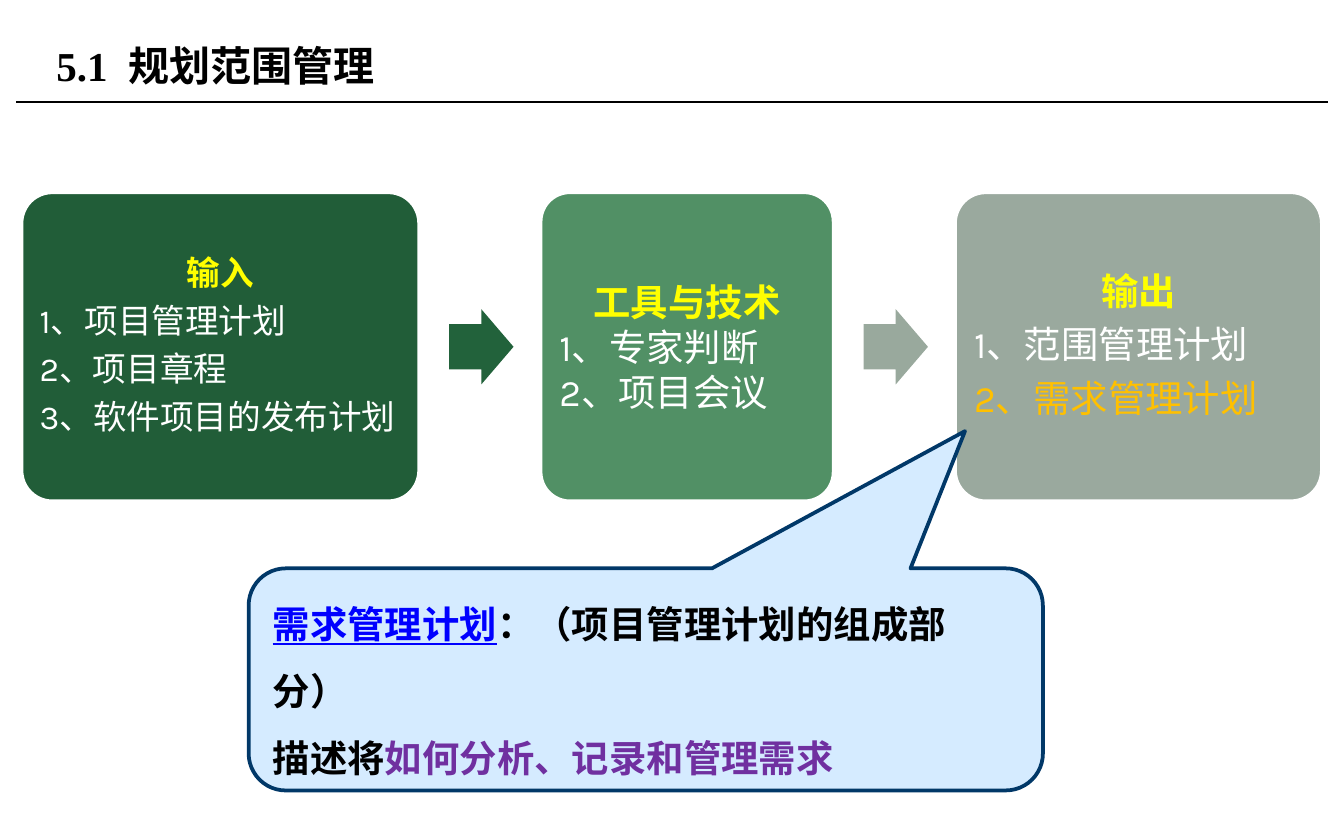
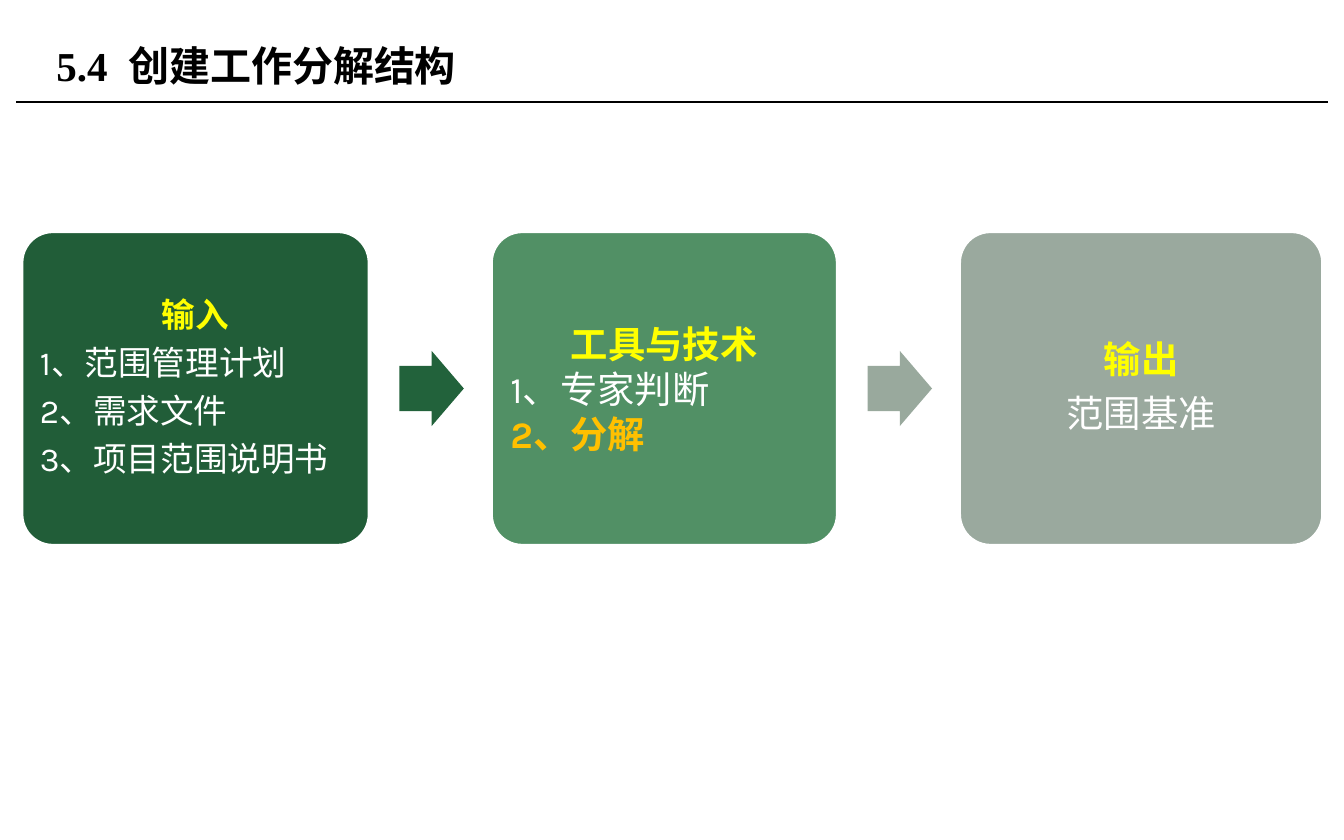
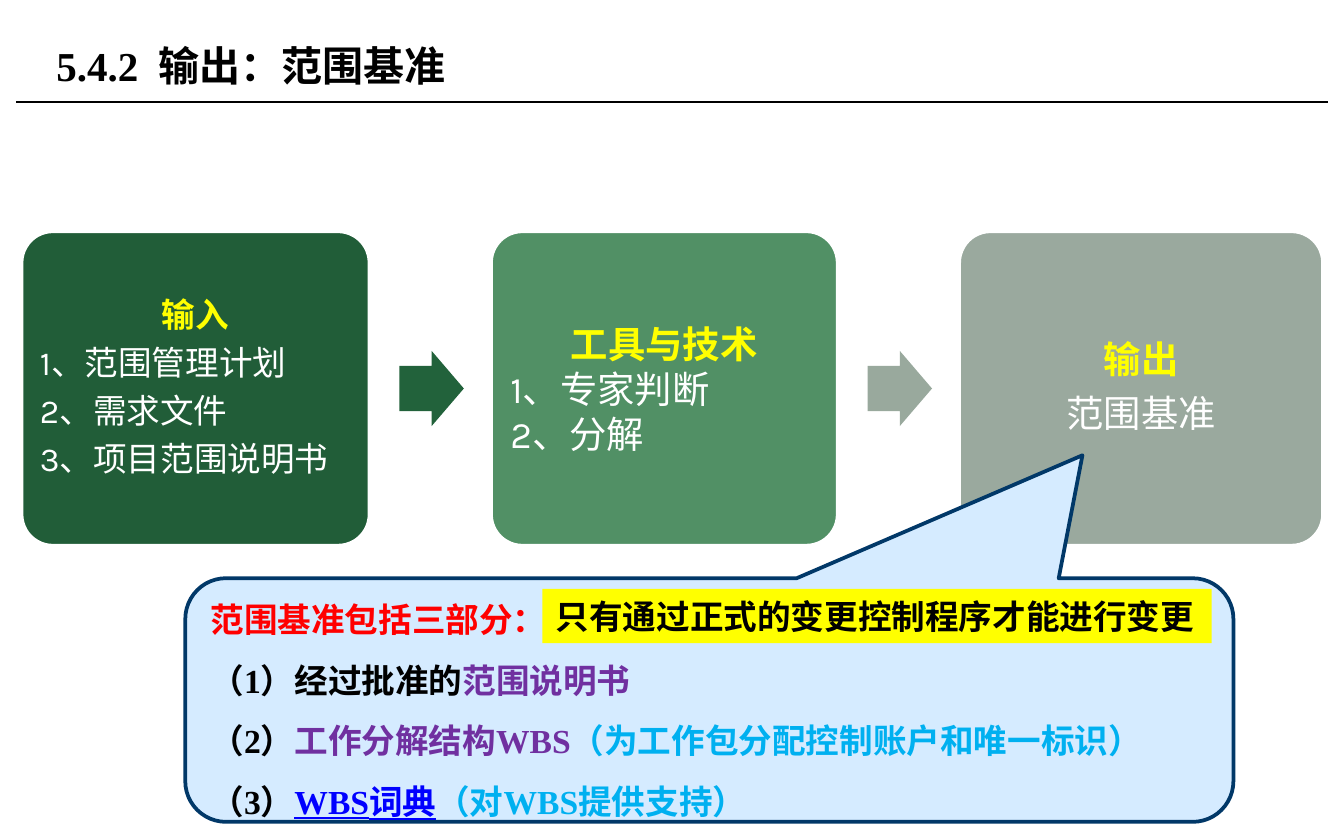
"""Build three slides on scope management: inputs, tools and outputs of each process."""
from lxml import etree
from pptx import Presentation
from pptx.dml.color import RGBColor
from pptx.enum import shapes, text
from pptx.oxml.ns import qn
from pptx.util import Pt

BLACK = RGBColor(0x00, 0x00, 0x00)
WHITE = RGBColor(0xFF, 0xFF, 0xFF)
YELLOW = RGBColor(0xFF, 0xFF, 0x00)
AMBER = RGBColor(0xFF, 0xC0, 0x00)
RED = RGBColor(0xFF, 0x00, 0x00)
BLUE = RGBColor(0x00, 0x00, 0xFF)
SKY = RGBColor(0x00, 0xB0, 0xF0)
PURPLE = RGBColor(0x70, 0x30, 0xA0)
NAVY = RGBColor(0x01, 0x38, 0x68)
PALE_BLUE = RGBColor(0xD5, 0xEB, 0xFF)
DARK_GREEN = RGBColor(0x21, 0x5D, 0x38)
ARROW_GREEN = RGBColor(0x22, 0x62, 0x3B)
MID_GREEN = RGBColor(0x51, 0x90, 0x65)
GREY_GREEN = RGBColor(0x9A, 0xA9, 0x9E)
ARROW_GREY = RGBColor(0x99, 0xA9, 0x9D)

SANS, SERIF = "Karla", "Times New Roman"
LEFT, CENTER = text.PP_ALIGN.LEFT, text.PP_ALIGN.CENTER

# name: (colour, bold, underline)
HEADING = (YELLOW, True, False)
ITEM = (WHITE, False, False)
KEY_ITEM = (AMBER, False, False)
BOLD_KEY_ITEM = (AMBER, True, False)
NOTE = (BLACK, True, False)
ALERT = (RED, True, False)
TERM = (PURPLE, True, False)
REMARK = (SKY, True, False)
LINKED = (BLUE, True, True)

# heading, fill, following arrow, size, line spacing, spacing after
STAGES = [
    ("输入", DARK_GREEN, ARROW_GREEN, 18, 0.9, 0.35),
    ("工具与技术", MID_GREEN, ARROW_GREY, 20, 1, 0),
    ("输出", GREY_GREEN, None, 20, 0.9, 0.35),
]

WBS_INPUTS = [("1、范围管理计划", ITEM), ("2、需求文件", ITEM), ("3、项目范围说明书", ITEM)]
WBS_OUTPUTS = [("范围基准", ITEM)]
WBS_FLOW = {"top": 123.9, "height": 168.5, "widths": (186.5, 185.8, 195)}

SLIDES = [
    {
        "title": "5.1  规划范围管理",
        "flow": {"top": 103, "height": 165.6, "widths": (213.1, 157, 196.6)},
        "items": [
            [("1、项目管理计划", ITEM), ("2、项目章程", ITEM), ("3、软件项目的发布计划", ITEM)],
            [("1、专家判断", ITEM), ("2、项目会议", ITEM)],
            [("1、范围管理计划", ITEM), ("2、需求管理计划", KEY_ITEM)],
        ],
        "callout": {
            "box": (133.2, 304.5, 425.5, 119),
            "pointer": (0.402, -1.118, 0.167),
            "font": (SANS, 20),
            "lines": [
                [("需求管理计划", LINKED), ("：（项目管理计划的组成部分）", NOTE)],
                [("描述将", NOTE), ("如何分析、记录和管理需求", TERM)],
            ],
        },
    },
    {
        "title": "5.4  创建工作分解结构",
        "flow": WBS_FLOW,
        "items": [
            WBS_INPUTS,
            [("1、专家判断", ITEM), ("2、分解", BOLD_KEY_ITEM)],
            WBS_OUTPUTS,
        ],
    },
    {
        "title": "5.4.2  输出：范围基准",
        "flow": WBS_FLOW,
        "items": [
            WBS_INPUTS,
            [("1、专家判断", ITEM), ("2、分解", ITEM)],
            WBS_OUTPUTS,
        ],
        "callout": {
            "box": (99.3, 309.8, 561.5, 130.5),
            "pointer": (0.356, -1.005, 0.167),
            "font": (SERIF, 18),
            "lines": [
                [("范围基准包括三部分：", ALERT)],
                [("（1）经过批准的", NOTE), ("范围说明书", TERM)],
                [("（2）", NOTE), ("工作分解结构WBS", TERM),
                 ("（为工作包分配控制账户和唯一标识）", REMARK)],
                [("（3）", NOTE), ("WBS词典", LINKED), ("（对WBS提供支持）", REMARK)],
            ],
        },
        "banner": {"box": (290.6, 315.5, 358.5, 29),
                   "line": [("只有通过正式的变更控制程序才能进行变更", NOTE)]},
    },
]

FLOW_LEFT, FLOW_GAP = 11.5, 65
ARROW_OFFSET, ARROW_WIDTH, ARROW_HEIGHT = 16, 34.5, 40.3


def add_shape(slide, kind, box, fill, outline=None, adjustments=()):
    """Add a flat preset shape with an optional 2 pt outline."""
    shape = slide.shapes.add_shape(kind, *map(Pt, box))
    shape.shadow.inherit = False
    shape.fill.solid()
    shape.fill.fore_color.rgb = fill
    if outline is None:
        shape.line.fill.background()
    else:
        shape.line.color.rgb = outline
        shape.line.width = Pt(2)
    for index, value in enumerate(adjustments):
        shape.adjustments[index] = value
    return shape


def write_paragraph(paragraph, runs, font_name, size, alignment=LEFT, spacing=1, after=0):
    """Fill a paragraph with styled runs."""
    paragraph.alignment = alignment
    paragraph.line_spacing = spacing
    paragraph.space_after = Pt(after)
    for content, (colour, bold, underline) in runs:
        run = paragraph.add_run()
        run.text = content
        run.font.name = font_name
        run.font.size = Pt(size)
        run.font.color.rgb = colour
        run.font.bold = bold
        run.font.underline = underline


def write_lines(shape, lines, *args, **kwargs):
    """Write each list of runs as a paragraph and return the paragraphs."""
    frame = shape.text_frame
    frame.word_wrap = True
    frame.vertical_anchor = text.MSO_ANCHOR.MIDDLE
    for index, runs in enumerate(lines):
        paragraph = frame.add_paragraph() if index else frame.paragraphs[0]
        write_paragraph(paragraph, runs, *args, **kwargs)
    return frame.paragraphs


def add_title(slide, title):
    """Place the title and the rule under it."""
    placeholder = slide.shapes.title
    placeholder.left, placeholder.top = Pt(23), Pt(9.4)
    placeholder.width, placeholder.height = Pt(459.4), Pt(51)
    write_lines(placeholder, [[(title, NOTE)]], SERIF, 22)
    rule = slide.shapes.add_connector(
        shapes.MSO_CONNECTOR.STRAIGHT, Pt(8.6), Pt(54.7), Pt(711.4), Pt(54.7))
    rule.line.color.rgb = BLACK
    rule.line.width = Pt(0.75)
    etree.SubElement(rule.element.spPr, qn("a:effectLst"))


def add_flow(slide, flow, items):
    """Draw the three stages from left to right with arrows between them."""
    left, top, height = FLOW_LEFT, flow["top"], flow["height"]
    for width, stage, entries in zip(flow["widths"], STAGES, items):
        heading, fill, arrow_fill, size, spacing, after = stage
        card = add_shape(slide, shapes.MSO_SHAPE.ROUNDED_RECTANGLE,
                         (left, top, width, height), fill, WHITE, (0.1,))
        frame = card.text_frame
        frame.margin_left = frame.margin_right = Pt(size * 0.275)
        frame.margin_top = frame.margin_bottom = Pt(size * 0.275)
        lines = [[(heading, HEADING)]] + [[entry] for entry in entries]
        paragraphs = write_lines(card, lines, SANS, size,
                                 spacing=spacing, after=size * after)
        paragraphs[0].alignment = CENTER
        if len(entries) == 1:
            paragraphs[1].alignment = CENTER
        if arrow_fill is not None:
            arrow_top = top + (height - ARROW_HEIGHT) / 2
            add_shape(slide, shapes.MSO_SHAPE.RIGHT_ARROW,
                      (left + width + ARROW_OFFSET, arrow_top, ARROW_WIDTH, ARROW_HEIGHT),
                      arrow_fill, adjustments=(0.6, 0.5))
        left += width + FLOW_GAP


def add_callout(slide, callout):
    """Draw the explanatory callout that points at the output stage."""
    shape = add_shape(slide, shapes.MSO_SHAPE.ROUNDED_RECTANGULAR_CALLOUT,
                      callout["box"], PALE_BLUE, NAVY, callout["pointer"])
    write_lines(shape, callout["lines"], *callout["font"], spacing=1.5)


def add_banner(slide, banner):
    """Draw the highlighted remark."""
    shape = add_shape(slide, shapes.MSO_SHAPE.RECTANGLE, banner["box"], YELLOW)
    write_lines(shape, [banner["line"]], SERIF, 18)


def main():
    """Build and save the presentation."""
    presentation = Presentation()
    presentation.slide_width, presentation.slide_height = Pt(720), Pt(450)
    for content in SLIDES:
        slide = presentation.slides.add_slide(presentation.slide_layouts[5])
        add_title(slide, content["title"])
        add_flow(slide, content["flow"], content["items"])
        if "callout" in content:
            add_callout(slide, content["callout"])
        if "banner" in content:
            add_banner(slide, content["banner"])
    presentation.save("out.pptx")


if __name__ == "__main__":
    main()
